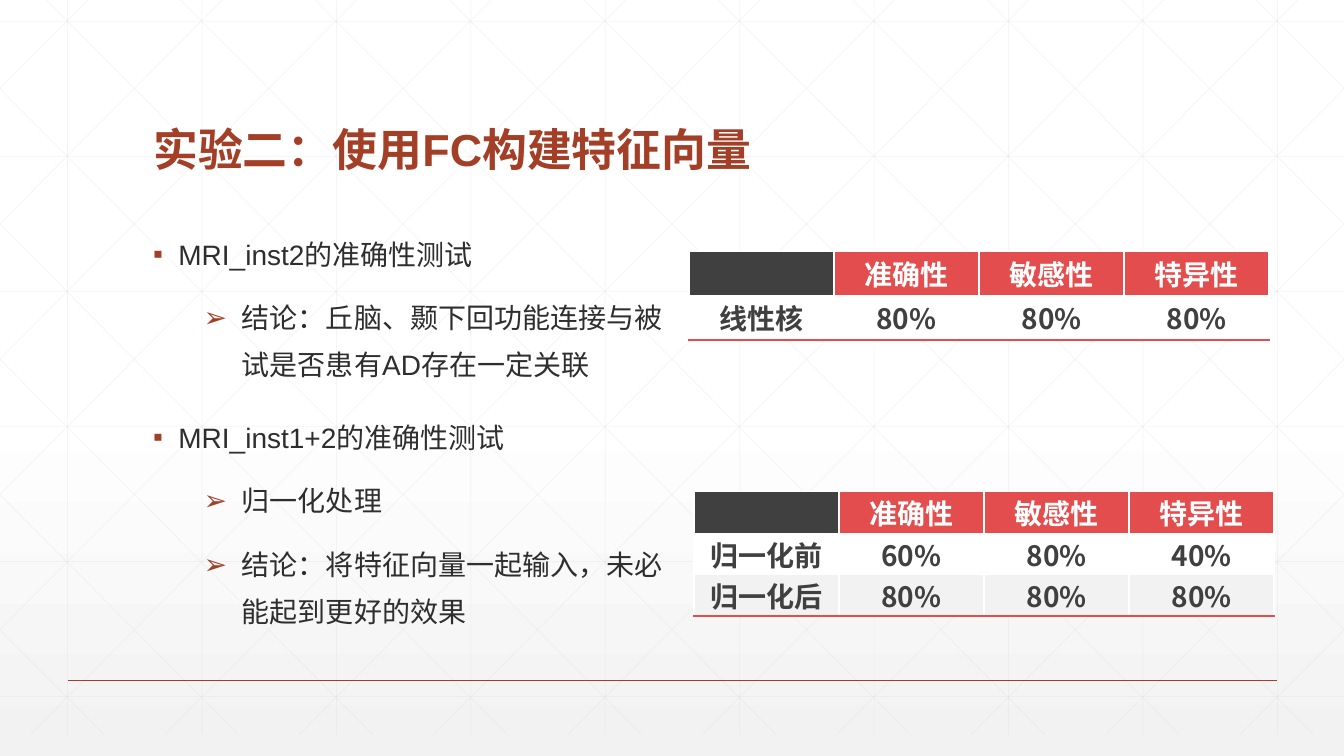
from copy import deepcopy

from lxml.etree import SubElement
from pptx import Presentation
from pptx.dml.color import RGBColor
from pptx.enum.shapes import MSO_CONNECTOR
from pptx.enum.text import MSO_ANCHOR, PP_ALIGN
from pptx.oxml.ns import qn
from pptx.util import Inches, Pt

TITLE = "实验二：使用FC构建特征向量"
POINTS = [
    (0, "MRI_inst2的准确性测试"),
    (1, "结论：丘脑、颞下回功能连接与被试是否患有AD存在一定关联"),
    (0, "MRI_inst1+2的准确性测试"),
    (1, "归一化处理"),
    (1, "结论：将特征向量一起输入，未必能起到更好的效果"),
]
HEADER = ["", "准确性", "敏感性", "特异性"]
RESULTS = [  # left, top, row height, rows
    (6.83, 2.49, 0.44, [HEADER, ["线性核", "80%", "80%", "80%"]]),
    (6.88, 4.88, 0.41, [HEADER, ["归一化前", "60%", "80%", "40%"],
                        ["归一化后", "80%", "80%", "80%"]]),
]
# bullet, left margin, hanging indent, space before
LEVELS = [("▪", 0.25, 0.25, 18), ("➢", 0.88, 0.38, 12)]
COLORS = {
    "white": "FFFFFF", "band": "F2F2F2", "grid": "D9D9D9", "accent": "A43F27",
    "body": "2D2E2D", "dark": "404040", "red": "E34D4D",
}
WIDTH, HEIGHT = 13.33, 7.5
GRID_TOP, GRID_BOTTOM = -0.21, 7.29
STEP = 4 / 3
COLUMN_WIDTH = 1.44


def rgb(name):
    return RGBColor.from_string(COLORS[name])


def set_font(font, size, color, face="Arial", bold=False):
    font.name, font.size, font.bold = face, Pt(size), bold
    font.color.rgb = rgb(color)


def add_line(start, end, color, width, opacity=None):
    line = slide.shapes.add_connector(
        MSO_CONNECTOR.STRAIGHT, *(Inches(v) for v in (*start, *end)))
    line.line.color.rgb = rgb(color)
    line.line.width = Pt(width)
    if opacity:
        tint = line.line._ln.find(".//" + qn("a:srgbClr"))
        SubElement(tint, qn("a:alpha"), val=str(opacity * 1000))
    SubElement(line._element.spPr, qn("a:effectLst"))


def fill_background():
    fill = slide.background.fill
    fill.gradient()
    fill.gradient_angle = 270
    for stop, color, position in zip(fill.gradient_stops, ("white", "band"), (0.53, 1)):
        stop.color.rgb = rgb(color)
        stop.position = position
    stops = slide.background._cSld.find(".//" + qn("a:gsLst"))
    first = deepcopy(stops[0])
    first.set("pos", "0")
    stops.insert(0, first)


def draw_grid():
    def grid_line(start, end):
        add_line(start, end, "grid", 0.5, opacity=25)

    for i in range(10):
        x = 0.67 + i * STEP
        grid_line((x, GRID_TOP), (x, GRID_BOTTOM))
    for i in range(6):
        y = 0.21 + i * 1.34
        grid_line((0, y), (WIDTH, y))
    run = 7.45
    slope = (GRID_BOTTOM - GRID_TOP) / run
    for i in range(-5, 10):
        x = 0.25 + i * STEP
        left, right = max(x, 0), min(x + run, WIDTH)
        top, bottom = (GRID_TOP + (edge - x) * slope for edge in (left, right))
        grid_line((left, top), (right, bottom))
        grid_line((WIDTH - left, top), (WIDTH - right, bottom))


def add_title():
    title = slide.shapes.title
    title.left, title.top = Inches(1.42), Inches(0.55)
    title.width, title.height = Inches(10.5), Inches(1.25)
    frame = title.text_frame
    frame.text = TITLE
    frame.vertical_anchor = MSO_ANCHOR.BOTTOM
    paragraph = frame.paragraphs[0]
    paragraph.alignment = PP_ALIGN.LEFT
    paragraph.line_spacing = 0.9
    set_font(paragraph.runs[0].font, 32, "accent", bold=True)
    slide.shapes._spTree.append(title._element)  # in front of the grid


def add_points():
    frame = slide.shapes.add_textbox(
        Inches(1.42), Inches(2.17), Inches(5.32), Inches(4.17)).text_frame
    frame.word_wrap = True
    for i, (level, text) in enumerate(POINTS):
        paragraph = frame.add_paragraph() if i else frame.paragraphs[0]
        paragraph.text = text
        paragraph.level = level
        paragraph.line_spacing = 1.4
        bullet, margin, hanging, before = LEVELS[level]
        paragraph.space_before = Pt(before if i else 0)
        properties = paragraph._p.get_or_add_pPr()
        properties.set("marL", str(Inches(margin)))
        properties.set("indent", str(-Inches(hanging)))
        bullet_color = SubElement(properties, qn("a:buClr"))
        SubElement(bullet_color, qn("a:srgbClr"), val=COLORS["accent"])
        SubElement(properties, qn("a:buFont"), typeface="Arial")
        SubElement(properties, qn("a:buChar"), char=bullet)
        set_font(paragraph.runs[0].font, 20, "body")


def set_border(cell, side, color):
    """Draw one cell edge; call before the fill is set."""
    edge = SubElement(cell._tc.get_or_add_tcPr(), qn("a:" + side), w=str(Pt(1.5)))
    SubElement(SubElement(edge, qn("a:solidFill")), qn("a:srgbClr"), val=COLORS[color])


def add_results(left, top, row_height, rows):
    table = slide.shapes.add_table(
        len(rows), len(HEADER), Inches(left), Inches(top),
        Inches(COLUMN_WIDTH * len(HEADER)), Inches(row_height * len(rows))).table
    table.first_row = table.horz_banding = False
    for r, row in enumerate(rows):
        for c, text in enumerate(row):
            cell = table.cell(r, c)
            cell.text = text
            cell.margin_left = cell.margin_right = Inches(0.07)
            cell.margin_top = cell.margin_bottom = 0
            cell.vertical_anchor = MSO_ANCHOR.MIDDLE
            set_border(cell, "lnL", "white")
            set_border(cell, "lnR", "white")
            if r == len(rows) - 1:
                set_border(cell, "lnB", "red")
            cell.fill.solid()
            if r == 0:
                background = "red" if c else "dark"
            else:
                background = "white" if r % 2 else "band"
            cell.fill.fore_color.rgb = rgb(background)
            paragraph = cell.text_frame.paragraphs[0]
            paragraph.alignment = PP_ALIGN.CENTER
            for run in paragraph.runs:
                set_font(run.font, 20, "dark" if r else "white", "Noto Sans CJK SC", True)
                SubElement(run._r.get_or_add_rPr(), qn("a:ea"), typeface="Noto Sans CJK SC")


presentation = Presentation()
presentation.slide_width, presentation.slide_height = Inches(WIDTH), Inches(HEIGHT)
slide = presentation.slides.add_slide(presentation.slide_layouts[5])
fill_background()
draw_grid()
add_line((0.67, 6.75), (12.67, 6.75), "accent", 1)
add_title()
add_points()
for result in RESULTS:
    add_results(*result)
presentation.save("out.pptx")
